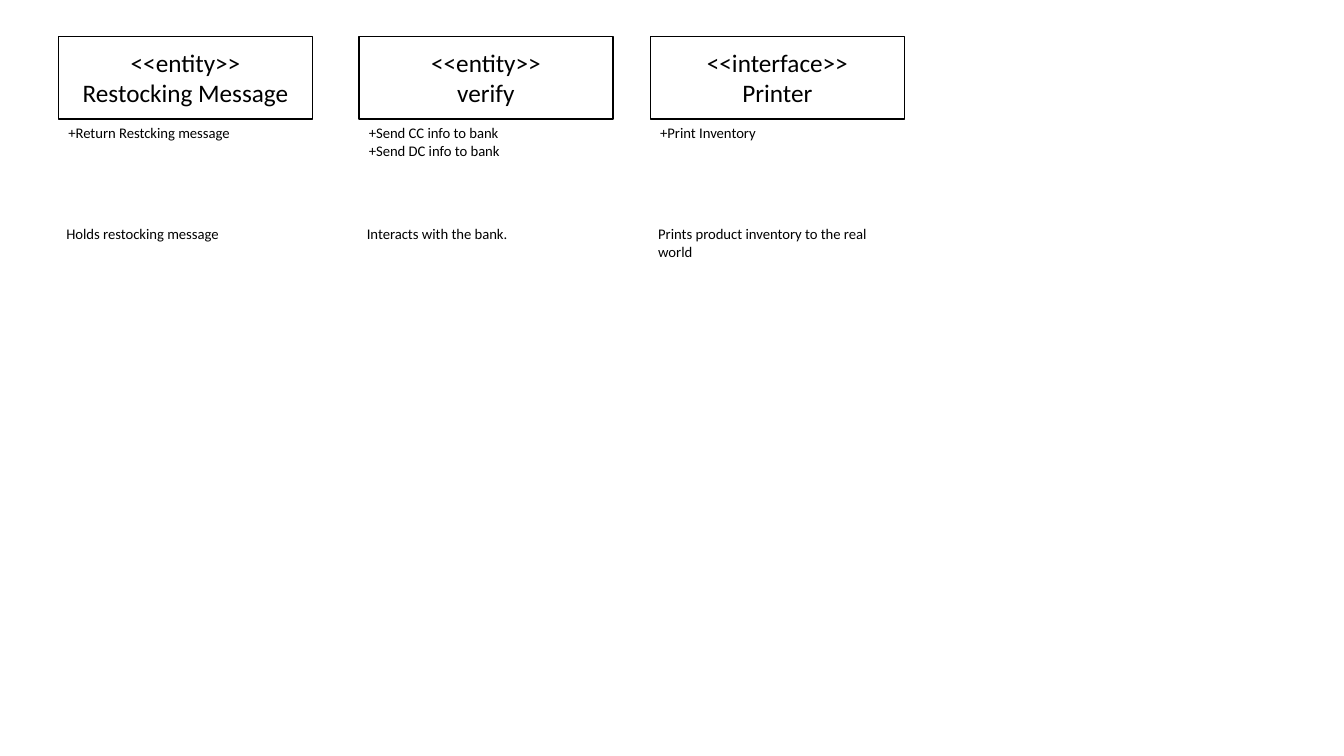
import pptx
import pptx.dml.color
import pptx.enum.shapes
import pptx.enum.text
import pptx.util

PX = 9144
FONT = "Calibri"
BLACK = "000000"
WHITE = "FFFFFF"
CARD_TOP = 36
CARD_WIDTH = 252
HEADER_HEIGHT = 82
LINE_HEIGHT = 17

CARDS = [
    (58, ["<<entity>>", "Restocking Message"],
     ["+Return Restcking message"], "Holds restocking message", 1),
    (356, ["<<entity>>", "verify"],
     ["+Send CC info to bank", "+Send DC info to bank"], "Interacts with the bank.", 1),
    (645, ["<<interface>>", "Printer"],
     ["+Print Inventory"], "Prints product inventory to the real world", 2),
]


def px(*lengths):
    return [pptx.util.Emu(n * PX) for n in lengths]


def color(hex_code):
    return pptx.dml.color.RGBColor.from_string(hex_code)


def write_lines(tf, lines, size, align):
    tf.word_wrap = True
    for i, line in enumerate(lines):
        p = tf.paragraphs[0] if i == 0 else tf.add_paragraph()
        p.text = line
        p.alignment = align
        p.font.name = FONT
        p.font.size = pptx.util.Pt(size)
        p.font.color.rgb = color(BLACK)


def add_header(slide, left, top, width, height, lines):
    sp = slide.shapes.add_shape(
        pptx.enum.shapes.MSO_SHAPE.RECTANGLE, *px(left, top, width, height))
    sp.shadow.inherit = False
    sp.fill.solid()
    sp.fill.fore_color.rgb = color(WHITE)
    sp.line.color.rgb = color(BLACK)
    sp.line.width = pptx.util.Pt(1)
    sp.text_frame.vertical_anchor = pptx.enum.text.MSO_ANCHOR.MIDDLE
    write_lines(sp.text_frame, lines, 18, pptx.enum.text.PP_ALIGN.CENTER)


def add_note(slide, left, top, width, lines, rows):
    height = 11 + rows * LINE_HEIGHT
    sp = slide.shapes.add_textbox(*px(left, top, width, height))
    write_lines(sp.text_frame, lines, 10.5, pptx.enum.text.PP_ALIGN.LEFT)
    sp.text_frame.auto_size = pptx.enum.text.MSO_AUTO_SIZE.SHAPE_TO_FIT_TEXT


def add_class_card(slide, left, top, width, heading, operations, purpose, purpose_rows):
    operations_top = top + HEADER_HEIGHT
    add_header(slide, left, top, width, HEADER_HEIGHT, heading)
    add_note(slide, left, operations_top, width - 25, operations, len(operations))
    add_note(slide, left - 2, operations_top + 100, width - 8, [purpose], purpose_rows)


def main():
    prs = pptx.Presentation()
    prs.slide_width, prs.slide_height = px(1333, 750)
    slide = prs.slides.add_slide(prs.slide_layouts[6])
    for left, heading, operations, purpose, purpose_rows in CARDS:
        add_class_card(slide, left, CARD_TOP, CARD_WIDTH,
                       heading, operations, purpose, purpose_rows)
    prs.save("out.pptx")


if __name__ == "__main__":
    main()
